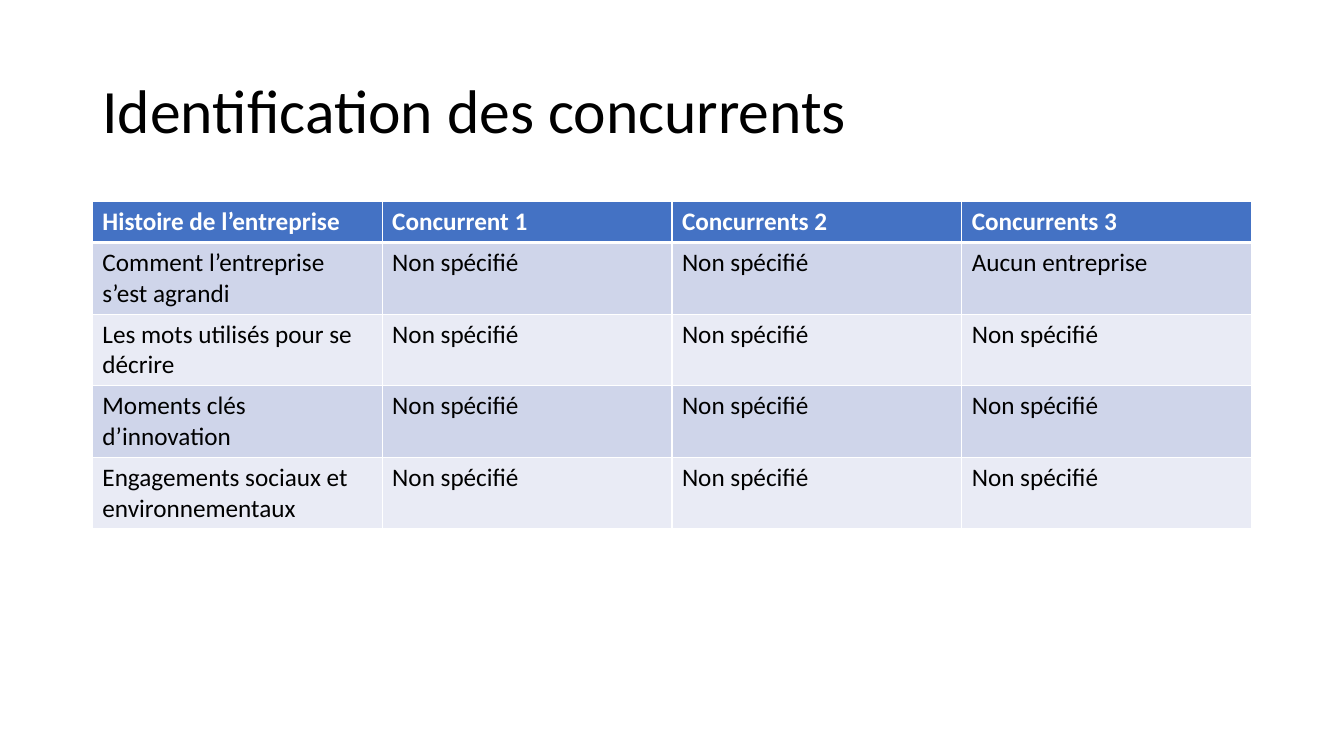
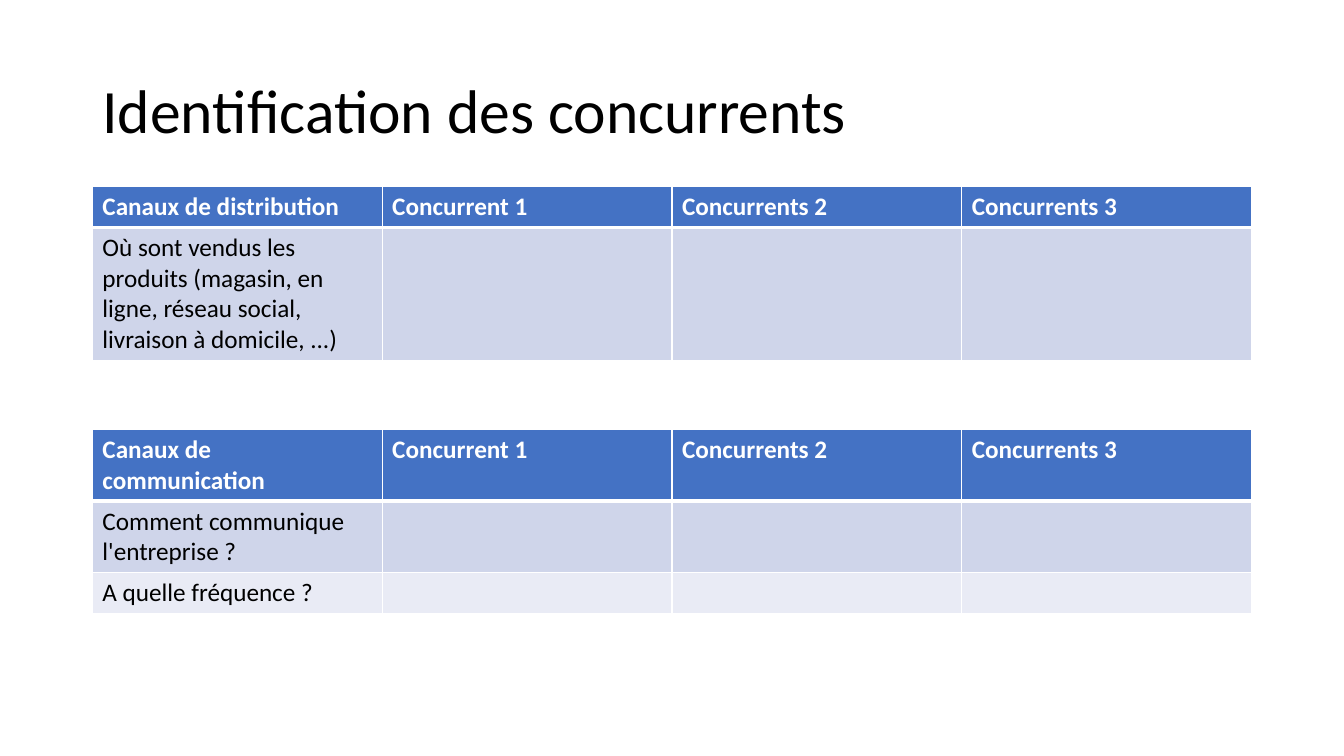
from lxml.etree import SubElement as Sub
from pptx import Presentation
from pptx.dml.color import RGBColor as Rgb
from pptx.enum.text import MSO_ANCHOR as Anchor, PP_ALIGN as Align
from pptx.oxml.ns import qn
from pptx.util import Pt

COLORS = {
    "head": "4472C4",
    "odd": "CFD5EA",
    "even": "E9EBF5",
    "white": "FFFFFF",
    "black": "000000",
}
FONT = "Calibri"
LEFT, WIDTH = 66, 828
TITLE = "Identification des concurrents"
RIVALS = ["Concurrent 1", "Concurrents 2", "Concurrents 3"]
NONE = "Non spécifié"
ONE, TWO, FOUR = 28.8, 50.4, 94  # row heights by number of text lines


class Deck:
    def __init__(self):
        self.deck = Presentation()
        self.deck.slide_width, self.deck.slide_height = Pt(960), Pt(540)
        self.slide = None

    def label(self, frame, text, size, color, bold=False):
        para = frame.paragraphs[0]
        para.alignment = Align.LEFT
        run = para.add_run()
        run.text = text
        font = run.font
        font.name, font.size, font.bold = FONT, Pt(size), bold
        font.color.rgb = Rgb.from_string(COLORS[color])
        return para

    def page(self, title):
        """Start a slide with its title."""
        self.slide = self.deck.slides.add_slide(self.deck.slide_layouts[5])
        box = self.slide.shapes.title
        box.left, box.top = Pt(LEFT), Pt(28.75)
        box.width, box.height = Pt(WIDTH), Pt(104.4)
        frame = box.text_frame
        frame.word_wrap = True
        frame.vertical_anchor = Anchor.MIDDLE
        self.label(frame, title, 44, "black").line_spacing = 0.9

    def edge(self, cell, top, bottom):
        """Draw white borders, 1 pt wide at the sides."""
        props = cell._tc.get_or_add_tcPr()
        sides = {"lnL": 1, "lnR": 1, "lnT": top, "lnB": bottom}
        for spot, (tag, width) in enumerate(sides.items()):
            line = Sub(props, qn(f"a:{tag}"), w=str(Pt(width)))
            fill = Sub(line, qn("a:solidFill"))
            Sub(fill, qn("a:srgbClr"), val=COLORS["white"])
            props.insert(spot, line)

    def table(self, top, heights, rows):
        cols = len(rows[0])
        grid = self.slide.shapes.add_table(
            len(rows), cols, Pt(LEFT), Pt(top), Pt(WIDTH), Pt(sum(heights))
        ).table
        for col in grid.columns:
            col.width = Pt(WIDTH / cols)
        for r, (high, row) in enumerate(zip(heights, rows)):
            grid.rows[r].height = Pt(high)
            head = r == 0
            shade = "head" if head else "odd" if r % 2 else "even"
            for c, text in enumerate(row):
                cell = grid.cell(r, c)
                cell.fill.solid()
                cell.fill.fore_color.rgb = Rgb.from_string(COLORS[shade])
                self.edge(cell, 3 if r == 1 else 1, 3 if head else 1)
                if text:
                    color = "white" if head else "black"
                    self.label(cell.text_frame, text, 18, color, head)


def main():
    deck = Deck()
    blank = [""] * len(RIVALS)

    deck.page(TITLE)
    deck.table(144, [ONE] + [TWO] * 4, [
        ["Histoire de l’entreprise", *RIVALS],
        ["Comment l’entreprise s’est agrandi", NONE, NONE, "Aucun entreprise"],
        ["Les mots utilisés pour se décrire", NONE, NONE, NONE],
        ["Moments clés d’innovation", NONE, NONE, NONE],
        ["Engagements sociaux et environnementaux", NONE, NONE, NONE],
    ])

    deck.page(TITLE)
    deck.table(133.2, [ONE, FOUR], [
        ["Canaux de distribution", *RIVALS],
        ["Où sont vendus les produits (magasin, en ligne, réseau social, "
         "livraison à domicile, ...)", *blank],
    ])
    deck.table(306.7, [TWO, TWO, ONE], [
        ["Canaux de communication", *RIVALS],
        ["Comment communique l'entreprise ?", *blank],
        ["A quelle fréquence ?", *blank],
    ])
    deck.deck.save("out.pptx")


if __name__ == "__main__":
    main()
